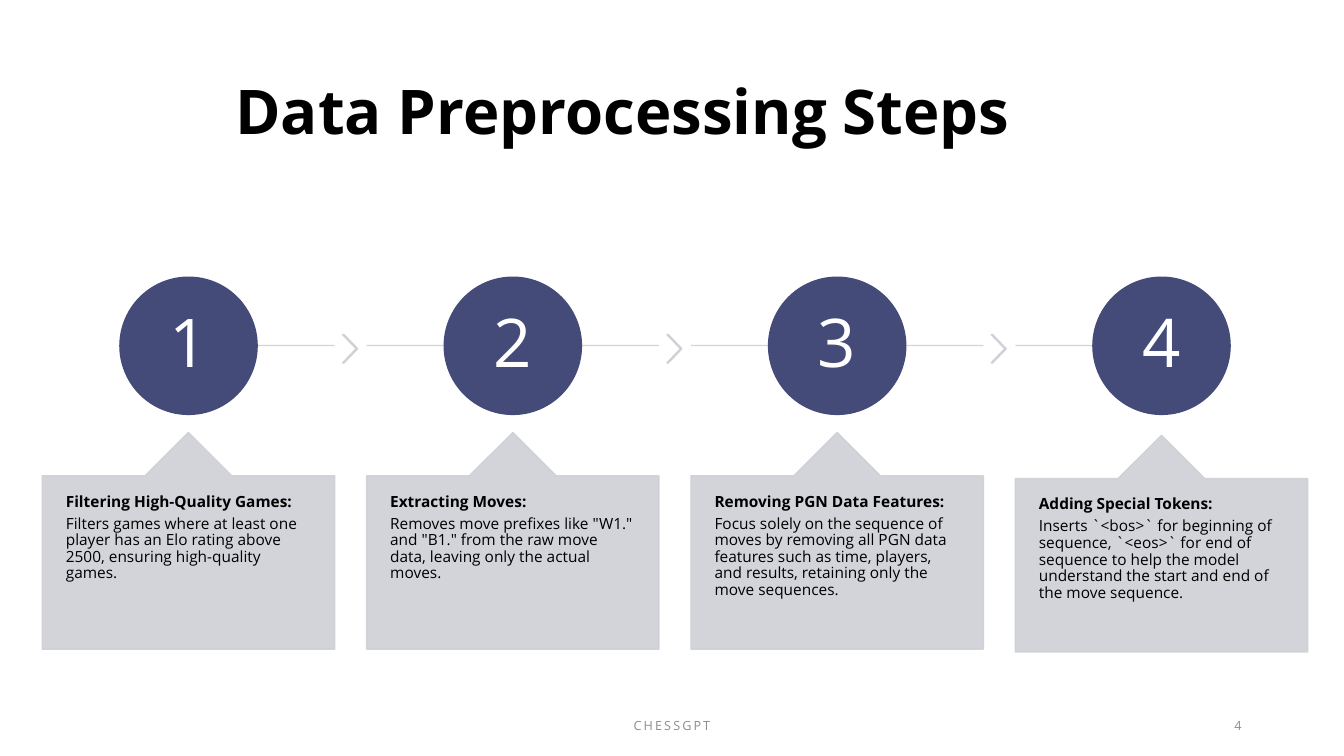
from dataclasses import dataclass
from typing import Any

from lxml.etree import SubElement
from pptx import Presentation
from pptx.dml.color import RGBColor as Rgb
from pptx.enum.shapes import MSO_CONNECTOR as Link, MSO_SHAPE as Kind
from pptx.enum.text import MSO_ANCHOR as Anchor, MSO_AUTO_SIZE as Auto, PP_ALIGN as Align
from pptx.oxml.ns import qn
from pptx.util import Pt

HUES = {"navy": "454B78", "grey": "CFD0D6", "black": "000000",
        "white": "FFFFFF", "foot": "8C8C8C"}
FONT = "Open Sans"

# Step grid, in points
LEFT, PITCH = 30.25, 231.67
WIDE, HIGH, TOP = 208.8, 154.8, 308.9
DISC, DISC_TOP = 98, 198
LINE_TOP = 246.8
MID = WIDE / 2


@dataclass(frozen=True)
class Step:
    head: str
    body: str
    drop: float = 0


@dataclass(frozen=True)
class Note:
    text: str
    left: float
    width: float
    align: Any


STEPS = [
    Step("Filtering High-Quality Games:",
         "Filters games where at least one player has an Elo rating above 2500, "
         "ensuring high-quality games."),
    Step("Extracting Moves:",
         'Removes move prefixes like "W1." and "B1." from the raw move data, '
         "leaving only the actual moves."),
    Step("Removing PGN Data Features:",
         "Focus solely on the sequence of moves by removing all PGN data features "
         "such as time, players, and results, retaining only the move sequences."),
    Step("Adding Special Tokens:",
         "Inserts `<bos>` for beginning of sequence, `<eos>` for end of sequence to "
         "help the model understand the start and end of the move sequence.", 2),
]
NOTES = [Note("CHESSGPT", 318, 324, Align.CENTER),
         Note("4", 678, 216, Align.RIGHT)]


def apply(item: Any, form: dict[str, Any]) -> None:
    for name, value in form.items():
        setattr(item, name, value)


def hue(name: str) -> Rgb:
    return Rgb.from_string(HUES[name])


def fade(part: Any) -> None:
    """Make each solid colour inside the part 90% opaque."""
    for tint in part.iter(qn("a:srgbClr")):
        SubElement(tint, qn("a:alpha")).set("val", "90000")


def frame(shape: Any, anchor: Any, pad_x: float, pad_y: float) -> Any:
    text = shape.text_frame
    apply(text, {"word_wrap": True, "auto_size": Auto.NONE, "vertical_anchor": anchor,
                 "margin_left": Pt(pad_x), "margin_right": Pt(pad_x),
                 "margin_top": Pt(pad_y), "margin_bottom": Pt(pad_y)})
    return text


def write(para: Any, text: str, size: float, tint: str, align: Any = Align.LEFT,
          bold: bool = False, after: float = 0, lines: float = 0.9) -> Any:
    run = para.add_run()
    run.text = text
    apply(para, {"alignment": align, "line_spacing": lines,
                 "space_before": Pt(0), "space_after": Pt(after)})
    apply(run.font, {"name": FONT, "size": Pt(size), "bold": bold})
    run.font.color.rgb = hue(tint)
    return run


def block(slide: Any, kind: Any, box: tuple[float, ...], tint: str,
          tune: tuple[float, ...] = ()) -> Any:
    shape = slide.shapes.add_shape(kind, *map(Pt, box))
    shape.shadow.inherit = False
    shape.fill.solid()
    shape.fill.fore_color.rgb = hue(tint)
    shape.line.color.rgb = hue(tint)
    shape.line.width = Pt(1)
    for spot, value in enumerate(tune):
        shape.adjustments[spot] = value
    if tint == "grey":
        fade(shape.element.spPr)
    return shape


def rule(slide: Any, start: float, end: float) -> None:
    line = slide.shapes.add_connector(
        Link.STRAIGHT, Pt(start), Pt(LINE_TOP), Pt(end), Pt(LINE_TOP))
    line.line.color.rgb = hue("grey")
    line.line.width = Pt(1)
    fade(line.element.spPr)
    SubElement(line.element.spPr, qn("a:effectLst"))


def draw(slide: Any, spot: int, step: Step) -> None:
    left = LEFT + spot * PITCH
    first, last = spot == 0, spot == len(STEPS) - 1

    # Line and chevron towards the next step
    rule(slide, left + (MID if first else 0), left + (MID if last else WIDE))
    if not last:
        block(slide, Kind.CHEVRON, (left + 214.4, 239, 10.8, 20.2), "grey", (0.9,))

    # Numbered disc
    disc = block(slide, Kind.OVAL, (left + MID - DISC / 2, DISC_TOP, DISC, DISC), "navy")
    text = frame(disc, Anchor.MIDDLE, 3.8, 3.8)
    write(text.paragraphs[0], str(spot + 1), 48, "white", Align.CENTER, after=16.8)

    # Callout with heading and body
    card = block(slide, Kind.UP_ARROW_CALLOUT, (left, TOP + step.drop, WIDE, HIGH),
                 "grey", (0.5, 0.2, 0.2, 1))
    text = frame(card, Anchor.TOP, 16.8, 12.8)
    write(text.paragraphs[0], step.head, 11, "black", bold=True, after=3.85)
    write(text.add_paragraph(), step.body, 11, "black", after=3.85)


def sign(slide: Any, note: Note) -> None:
    box = slide.shapes.add_textbox(Pt(note.left), Pt(504), Pt(note.width), Pt(28.8))
    text = frame(box, Anchor.MIDDLE, 7.2, 3.6)
    run = write(text.paragraphs[0], note.text, 9, "foot", note.align, after=6, lines=1.0)
    run.font._element.set("spc", "150")


def main() -> None:
    deck = Presentation()
    apply(deck, {"slide_width": Pt(960), "slide_height": Pt(540)})
    slide = deck.slides.add_slide(deck.slide_layouts[5])

    # Title
    title = slide.shapes.title
    apply(title, {"left": Pt(145.4), "top": Pt(49.7), "width": Pt(599), "height": Pt(64)})
    text = frame(title, Anchor.MIDDLE, 7.2, 3.6)
    write(text.paragraphs[0], "Data Preprocessing Steps", 44, "black", Align.CENTER, True)

    # Steps
    for spot, step in enumerate(STEPS):
        draw(slide, spot, step)

    # Footer and page number
    for note in NOTES:
        sign(slide, note)

    deck.save("out.pptx")


if __name__ == "__main__":
    main()
